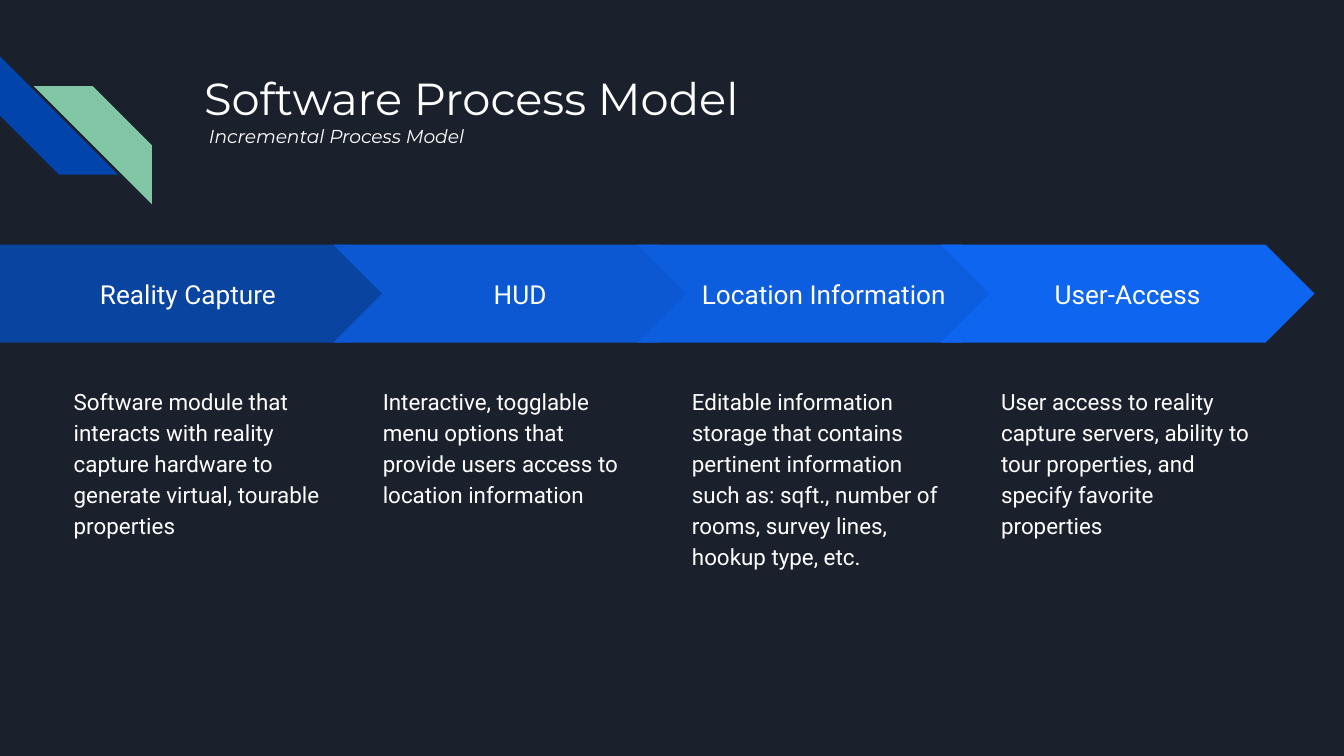
"""Builds the Software Process Model slide: four stages with descriptions."""
from pptx import Presentation
from pptx.dml.color import RGBColor
from pptx.enum.shapes import MSO_SHAPE as Shape
from pptx.enum.text import MSO_ANCHOR as Anchor, PP_ALIGN as Align
from pptx.util import Inches, Pt

COLORS = {
    "background": "1B212C",
    "text": "FFFFFF",
    "blue stripe": "0145AC",
    "green stripe": "82C7A5",
    "stage 1": "0944A1",
    "stage 2": "0C58D3",
    "stage 3": "0D5DDF",
    "stage 4": "0E65F0",
}
STAGES = [
    ("Reality Capture", "Software module that interacts with reality capture hardware "
     "to generate virtual, tourable properties"),
    ("HUD", "Interactive, togglable menu options that provide users access to "
     "location information"),
    ("Location Information", "Editable information storage that contains pertinent "
     "information such as: sqft., number of rooms, survey lines, hookup type, etc."),
    ("User-Access", "User access to reality capture servers, ability to tour "
     "properties, and specify favorite properties"),
]
STRIPE_SIZE = 0.88
ARROW_TOP, ARROW_HEIGHT = 1.82, 0.73
ARROW_LEFT, ARROW_PITCH, ARROW_WIDTH = 0.22, 2.26, 2.78
DETAIL_LEFT, DETAIL_PITCH, DETAIL_TOP = 0.45, 2.3, 2.76


def add_block(kind, left, top, width, height, color):
    block = slide.shapes.add_shape(
        kind, Inches(left), Inches(top), Inches(width), Inches(height))
    block.shadow.inherit = False
    block.fill.solid()
    block.fill.fore_color.rgb = RGBColor.from_string(COLORS[color])
    block.line.fill.background()
    block.adjustments[0] = 0.5
    return block


def write(shape, text, fonts):
    frame = shape.text_frame
    frame.text = text
    frame.word_wrap = True
    frame.margin_left = frame.margin_right = Inches(0.1)
    frame.margin_top = frame.margin_bottom = Inches(0.1)
    for paragraph, (name, size, italic) in zip(frame.paragraphs, fonts):
        font = paragraph.runs[0].font
        font.name, font.size, font.italic = name, Pt(size), italic
        font.color.rgb = RGBColor.from_string(COLORS["text"])
    return frame


deck = Presentation()
deck.slide_width = Inches(10)
deck.slide_height = deck.slide_width * 9 // 16
slide = deck.slides.add_slide(deck.slide_layouts[6])
slide.background.fill.solid()
slide.background.fill.fore_color.rgb = RGBColor.from_string(COLORS["background"])

for left, top, turn, color in [(0, 0.42, 270, "blue stripe"),
                               (0.25, 0.64, 90, "green stripe")]:
    stripe = add_block(Shape.DIAGONAL_STRIPE, left, top, STRIPE_SIZE, STRIPE_SIZE, color)
    stripe.rotation = turn

heading = slide.shapes.add_textbox(Inches(1.42), Inches(0.43), Inches(7.7), Inches(1))
write(heading, "Software Process Model\n Incremental Process Model",
      [("Montserrat", 24, False), ("Montserrat", 10, True)])

for column, (stage, detail) in enumerate(STAGES):
    if column == 0:
        kind, left, width = Shape.PENTAGON, 0, 2.98
    else:
        kind, width = Shape.CHEVRON, ARROW_WIDTH
        left = ARROW_LEFT + column * ARROW_PITCH
    arrow = add_block(kind, left, ARROW_TOP, width, ARROW_HEIGHT, f"stage {column + 1}")
    label = write(arrow, stage, [("Roboto", 14, False)])
    label.vertical_anchor = Anchor.MIDDLE
    label.paragraphs[0].alignment = Align.CENTER

    description = slide.shapes.add_textbox(
        Inches(DETAIL_LEFT + column * DETAIL_PITCH), Inches(DETAIL_TOP),
        Inches(2.08), Inches(2.86))
    body = write(description, detail, [("Roboto", 12, False)])
    body.paragraphs[0].line_spacing = 1.15

deck.save("out.pptx")
